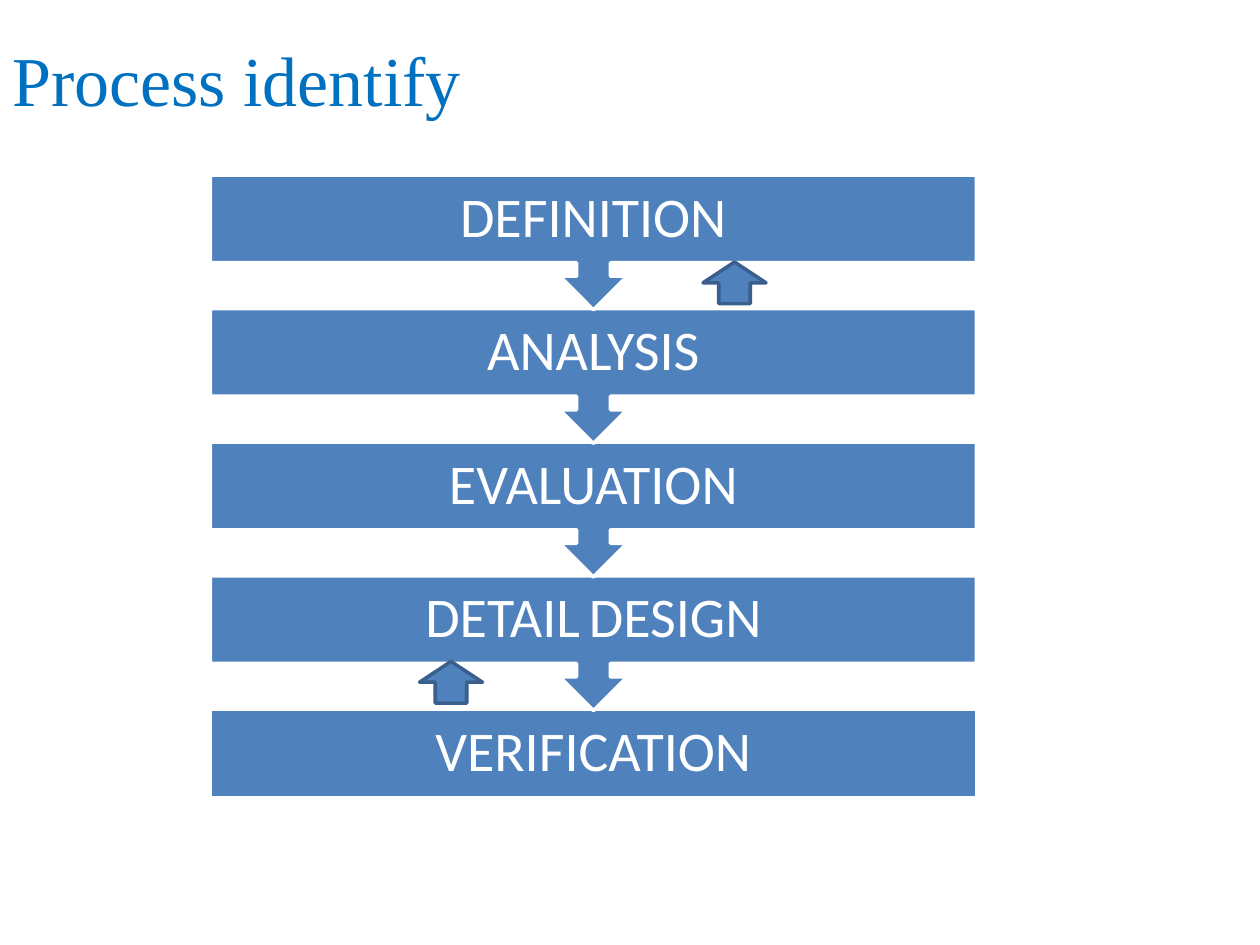
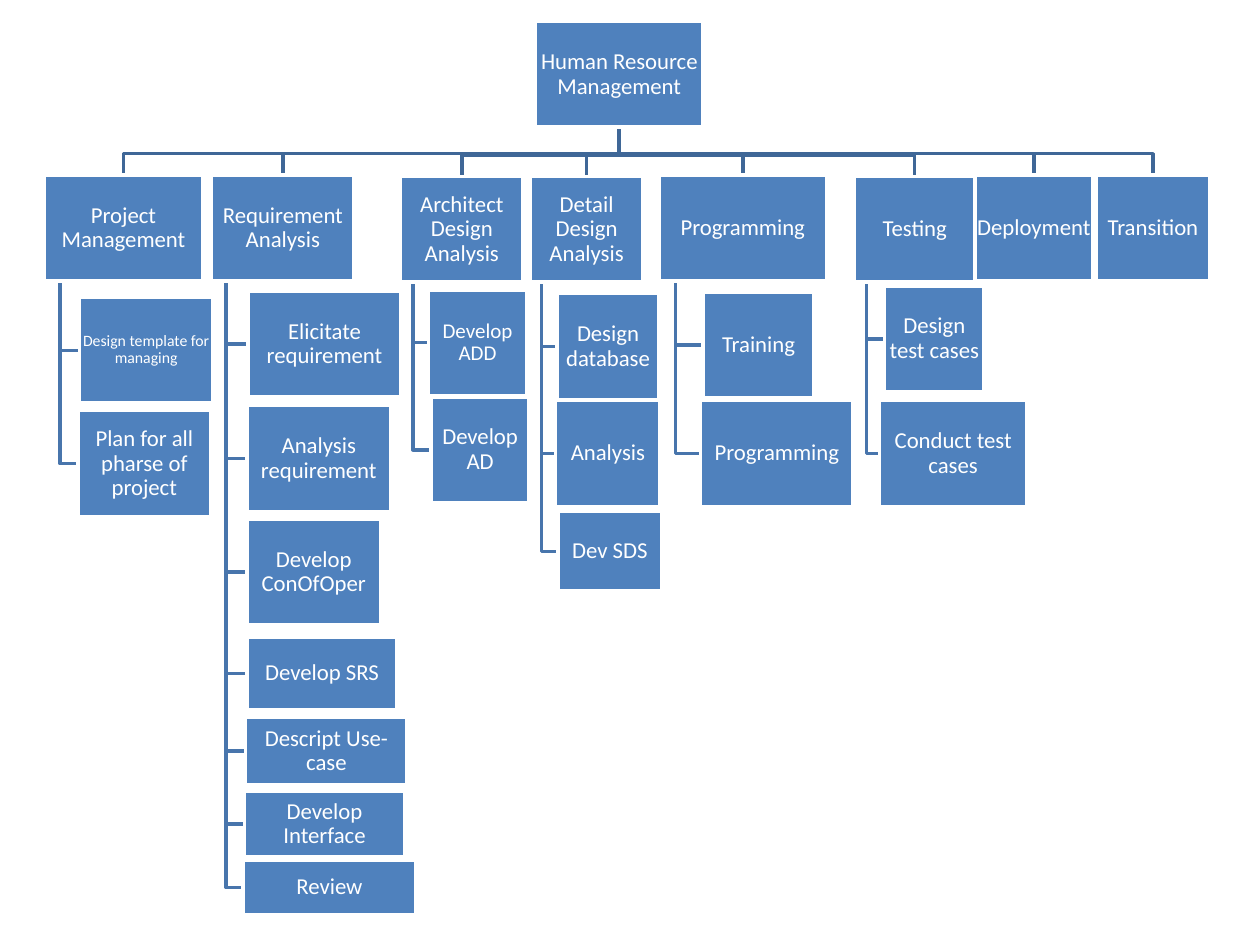
from dataclasses import dataclass
from pptx import Presentation
from pptx.dml.color import RGBColor as Rgb
from pptx.enum.shapes import MSO_SHAPE as Kind
from pptx.enum.text import MSO_ANCHOR as Anchor, PP_ALIGN as Align
from pptx.util import Inches, Pt


@dataclass(frozen=True)
class Theme:
    title: str = "0070C0"
    box: str = "4F81BD"
    white: str = "FFFFFF"
    edge: str = "3A5F8C"
    trunk: str = "3F6797"
    twig: str = "4875AC"
    serif: str = "Times New Roman"
    sans: str = "Calibri"
    line: float = 2
    head: float = 40
    step: float = 32
    gap: float = 22
    node: float = 13
    mid: float = 12
    small: float = 9


@dataclass(frozen=True)
class Box:
    left: float
    top: float
    width: float
    height: float = 0.84

    @property
    def centre(self):
        return self.left + self.width / 2

    @property
    def middle(self):
        return self.top + self.height / 2

    @property
    def bottom(self):
        return self.top + self.height

    def inside(self, left, top, width, height):
        return Box(self.left + left, self.top + top, width, height)

    def lengths(self):
        return [Inches(n) for n in (self.left, self.top, self.width, self.height)]


THEME = Theme()
STEPS = ["DEFINITION", "ANALYSIS", "EVALUATION", "DETAIL DESIGN", "VERIFICATION"]
ROOT = ("Human Resource Management", Box(4.25, 0.17, 1.33))
TREE = [
    ("Project Management", Box(0.35, 1.39, 1.26), [
        ("Design template for managing", Box(0.63, 2.36, 1.06), THEME.small),
        ("Plan for all pharse of project", Box(0.62, 3.26, 1.05))]),
    ("Requirement Analysis", Box(1.68, 1.39, 1.13), [
        ("Elicitate requirement", Box(1.97, 2.31, 1.21)),
        ("Analysis requirement", Box(1.96, 3.22, 1.14)),
        ("Develop ConOfOper", Box(1.96, 4.12, 1.06)),
        ("Develop SRS", Box(1.96, 5.06, 1.19, 0.57)),
        ("Descript Use-case", Box(1.95, 5.69, 1.28, 0.54)),
        ("Develop Interface", Box(1.94, 6.28, 1.27, 0.52)),
        ("Review", Box(1.93, 6.83, 1.37, 0.43))]),
    ("Architect Design Analysis", Box(3.18, 1.4, 0.97), [
        ("Develop ADD", Box(3.4, 2.3, 0.78), THEME.mid),
        ("Develop AD", Box(3.42, 3.15, 0.78))]),
    ("Detail Design Analysis", Box(4.21, 1.4, 0.89), [
        ("Design database", Box(4.42, 2.33, 0.81)),
        ("Analysis", Box(4.41, 3.18, 0.83)),
        ("Dev SDS", Box(4.43, 4.06, 0.82, 0.63))]),
    ("Programming", Box(5.23, 1.39, 1.33), [
        ("Training", Box(5.58, 2.32, 0.88)),
        ("Programming", Box(5.56, 3.18, 1.21))]),
    ("Testing", Box(6.78, 1.4, 0.96), [
        ("Design test cases", Box(7.02, 2.27, 0.79)),
        ("Conduct test cases", Box(6.98, 3.18, 1.17))]),
    ("Deployment", Box(7.74, 1.39, 0.93), []),
    ("Transition", Box(8.7, 1.39, 0.9), []),
]


def set_line(shape, color):
    shape.shadow.inherit = False
    shape.line.color.rgb = Rgb.from_string(color)
    shape.line.width = Pt(THEME.line)


def add_block(slide, kind, box, edge=THEME.white):
    shape = slide.shapes.add_shape(kind, *box.lengths())
    shape.fill.solid()
    shape.fill.fore_color.rgb = Rgb.from_string(THEME.box)
    set_line(shape, edge)
    return shape


def add_text(shape, runs, font=THEME.sans, color=THEME.white,
             align=Align.CENTER, inset=0.01, space=0.9):
    frame = shape.text_frame
    frame.word_wrap = True
    frame.vertical_anchor = Anchor.MIDDLE
    frame.margin_left = frame.margin_right = Inches(inset)
    frame.margin_top = frame.margin_bottom = Inches(0.01)
    para = frame.paragraphs[0]
    para.alignment = align
    para.line_spacing = space
    for text, size in runs:
        run = para.add_run()
        run.text = text
        run.font.size = Pt(size)
        run.font.name = font
        run.font.color.rgb = Rgb.from_string(color)


def add_title(slide, box, text):
    shape = slide.shapes.add_textbox(*box.lengths())
    add_text(shape, [(text, THEME.head)], THEME.serif, THEME.title, Align.LEFT, 0.1, 1.0)


def add_steps(slide, box):
    pitch, body = 1.06, 0.7
    for rank, label in reversed(list(enumerate(STEPS))):
        last = rank == len(STEPS) - 1
        kind = Kind.RECTANGLE if last else Kind.DOWN_ARROW_CALLOUT
        height = body if last else pitch + 0.01
        shape = add_block(slide, kind, box.inside(0, rank * pitch, box.width, height))
        runs = []
        for word in label.split():
            if runs:
                runs.append((" ", THEME.gap))
            runs.append((word, THEME.step))
        add_text(shape, runs, inset=0.25)
    for left, top in [(3.91, 0.69), (1.66, 3.86)]:
        add_block(slide, Kind.UP_ARROW, box.inside(left, top, 0.5, 0.33), THEME.edge)


def add_bend(slide, color, *points):
    start, *rest = [(Inches(x), Inches(y)) for x, y in points]
    pen = slide.shapes.build_freeform(*start)
    pen.add_line_segments(rest, close=False)
    shape = pen.convert_to_shape()
    shape.fill.background()
    set_line(shape, color)


def add_node(slide, text, box, size=THEME.node):
    add_text(add_block(slide, Kind.RECTANGLE, box), [(text, size)])


def link_branch(slide, root, box, leaves):
    bus = box.top - 0.17
    add_bend(slide, THEME.trunk, (root.centre, root.bottom), (root.centre, bus),
             (box.centre, bus), (box.centre, box.top))
    stem = box.left + box.width / 10
    for leaf in leaves:
        end = leaf[1]
        add_bend(slide, THEME.twig, (stem, box.bottom), (stem, end.middle),
                 (end.left, end.middle))


def add_tree(slide, root, tree):
    for _, box, leaves in reversed(tree):
        link_branch(slide, root[1], box, leaves)
    add_node(slide, *root)
    for text, box, leaves in tree:
        add_node(slide, text, box)
        for leaf in leaves:
            add_node(slide, *leaf)


def main():
    deck = Presentation()
    deck.slide_width, deck.slide_height = Inches(10), Inches(7.5)
    blank = deck.slide_layouts[6]
    flow = deck.slides.add_slide(blank)
    add_title(flow, Box(0, 0, 9, 1.25), "Process identify")
    add_steps(flow, Box(1.67, 1.39, 6.08, 4.94))
    add_tree(deck.slides.add_slide(blank), ROOT, TREE)
    deck.save("out.pptx")


if __name__ == "__main__":
    main()
